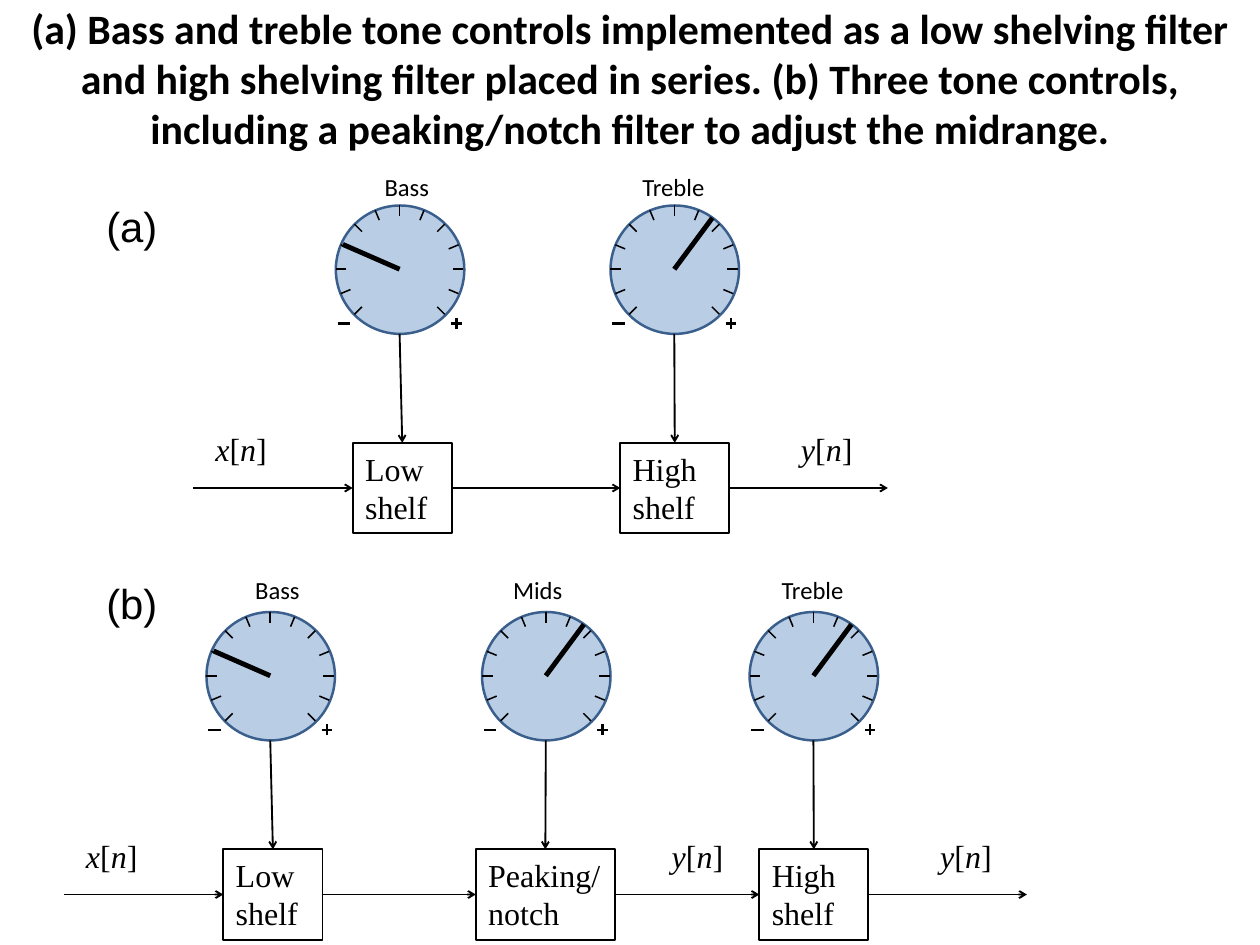
from math import cos, radians, sin

from lxml import etree
from pptx import Presentation
from pptx.dml.color import RGBColor
from pptx.enum.shapes import MSO_CONNECTOR, MSO_SHAPE
from pptx.enum.text import MSO_ANCHOR, MSO_AUTO_SIZE, PP_ALIGN
from pptx.oxml.ns import qn
from pptx.util import Emu, Pt

PX = 9144  # 100 px to the inch
COLORS = {"ink": "000000", "dial": "B9CDE5", "rim": "3A5F8C"}
RGB = {name: RGBColor.from_string(value) for name, value in COLORS.items()}
TITLE = (
    "(a) Bass and treble tone controls implemented as a low shelving filter "
    "and high shelving filter placed in series. (b) Three tone controls, "
    "including a peaking/notch filter to adjust the midrange."
)

prs = Presentation()
prs.slide_width, prs.slide_height = Emu(1422 * PX), Emu(1067 * PX)
slide = prs.slides.add_slide(prs.slide_layouts[6])
sp = slide.shapes


def add_line(shapes, points, width, arrow=False):
    """Draw a black line through (x1, y1, x2, y2), with an optional arrow at its end."""
    ends = [Emu(round(v * PX)) for v in points]
    s = shapes.add_connector(MSO_CONNECTOR.STRAIGHT, *ends)
    s.line.color.rgb = RGB["ink"]
    s.line.width = Pt(width)
    if arrow:
        etree.SubElement(s.line._ln, qn("a:tailEnd"), type="arrow")
    etree.SubElement(s._element.spPr, qn("a:effectLst"))


def add_text(box, pieces, font, size, kind=None):
    """Put one run per piece in a text box, or in a shape of the given kind."""
    place = [Emu(v * PX) for v in box]
    s = sp.add_shape(kind, *place) if kind else sp.add_textbox(*place)
    tf = s.text_frame
    tf.margin_left = tf.margin_right = Emu(14 * PX)
    tf.margin_top = tf.margin_bottom = Emu(7 * PX)
    tf.vertical_anchor = MSO_ANCHOR.TOP
    tf.word_wrap = kind is not None
    tf.auto_size = MSO_AUTO_SIZE.SHAPE_TO_FIT_TEXT
    p = tf.paragraphs[0]
    p.alignment = PP_ALIGN.LEFT
    for piece in pieces:
        r = p.add_run()
        r.text = piece
        r.font.name, r.font.size = font, Pt(size)
        r.font.color.rgb = RGB["ink"]
    return s


s = add_text((0, 0, 1422, 175), [TITLE], "Calibri", 34)
tf = s.text_frame
tf.auto_size = MSO_AUTO_SIZE.NONE
tf.word_wrap = True
tf.vertical_anchor = MSO_ANCHOR.MIDDLE
tf.paragraphs[0].alignment = PP_ALIGN.CENTER
tf.paragraphs[0].runs[0].font.bold = True

# Control: label offset and width, pointer tip, filter text, filter offset and width
CONTROLS = {
    "Bass": (-31, 80, (-64, -28), "Low shelf", -53, 112),
    "Mids": (-51, 85, (43, -58), "Peaking/ notch", -79, 157),
    "Treble": (-50, 99, (43, -58), "High shelf", -61, 123),
}
# Row: name, its top, label top, dial centre, control positions
ROWS = [
    ("(a)", 220, 187, 304, {"Bass": 451, "Treble": 761}),
    ("(b)", 645, 642, 763, {"Bass": 305, "Mids": 616, "Treble": 918}),
]
# Plus and minus marks, from the dial centre
MARKS = [(-70, 61, -56, 61), (58, 61, 70, 61), (64, 55, 64, 67)]

for row_name, row_top, label_top, cy, dials in ROWS:
    add_text((106, row_top, 87, 72), [row_name], "Arial", 34)
    filter_top, wire_y = cy + 196, cy + 247
    filter_spans = []

    for control, cx in dials.items():
        label_dx, label_w, tip, filter_text, filter_dx, filter_w = CONTROLS[control]
        add_text((cx + label_dx, label_top, label_w, 48), [control], "Calibri", 20)

        dial = sp.add_group_shape().shapes
        for radius, size in ((72, 145), (60, 121)):
            s = dial.add_shape(
                MSO_SHAPE.OVAL,
                *[Emu(v * PX) for v in (cx - radius, cy - radius, size, size)],
            )
            s.shadow.inherit = False
            s.fill.solid()
            s.fill.fore_color.rgb = RGB["dial"]
            if radius == 72:
                s.line.color.rgb = RGB["rim"]
                s.line.width = Pt(2)
            else:
                s.line.fill.background()
        for step in range(-2, 11):
            angle = radians(step * 22.5)
            dx, dy = cos(angle), -sin(angle)
            tick = (cx + 60 * dx, cy + 60 * dy, cx + 72 * dx, cy + 72 * dy)
            add_line(dial, tick, 1.25)
        for x1, y1, x2, y2 in MARKS:
            add_line(dial, (cx + x1, cy + y1, cx + x2, cy + y2), 2)
        add_line(dial, (cx, cy, cx + tip[0], cy + tip[1]), 4)

        left = cx + filter_dx
        s = add_text((left, filter_top, filter_w, 102), [filter_text],
                     "Times New Roman", 26, MSO_SHAPE.RECTANGLE)
        s.shadow.inherit = False
        s.fill.background()
        s.line.color.rgb = RGB["ink"]
        s.line.width = Pt(1.5)
        add_line(sp, (cx, cy + 73, left + filter_w / 2, filter_top), 1.5, arrow=True)
        filter_spans.append((left, left + filter_w))

    start, end = filter_spans[0][0] - 180, filter_spans[-1][1] + 179
    wire_starts = [start] + [right for left, right in filter_spans]
    wire_ends = [left for left, right in filter_spans] + [end]
    for x1, x2 in zip(wire_starts, wire_ends):
        add_line(sp, (x1, wire_y, x2, wire_y), 1.5, arrow=True)

    signals = [("x", start + 11), ("y", end - 112)]
    if "Mids" in dials:
        signals.append(("y", filter_spans[1][1] + 50))
    for letter, left in signals:
        s = add_text((left, cy + 174, 87, 58), [letter, "[", "n", "]"],
                     "Times New Roman", 26)
        for r in s.text_frame.paragraphs[0].runs:
            r.font.italic = r.text.isalpha()

prs.save("out.pptx")
